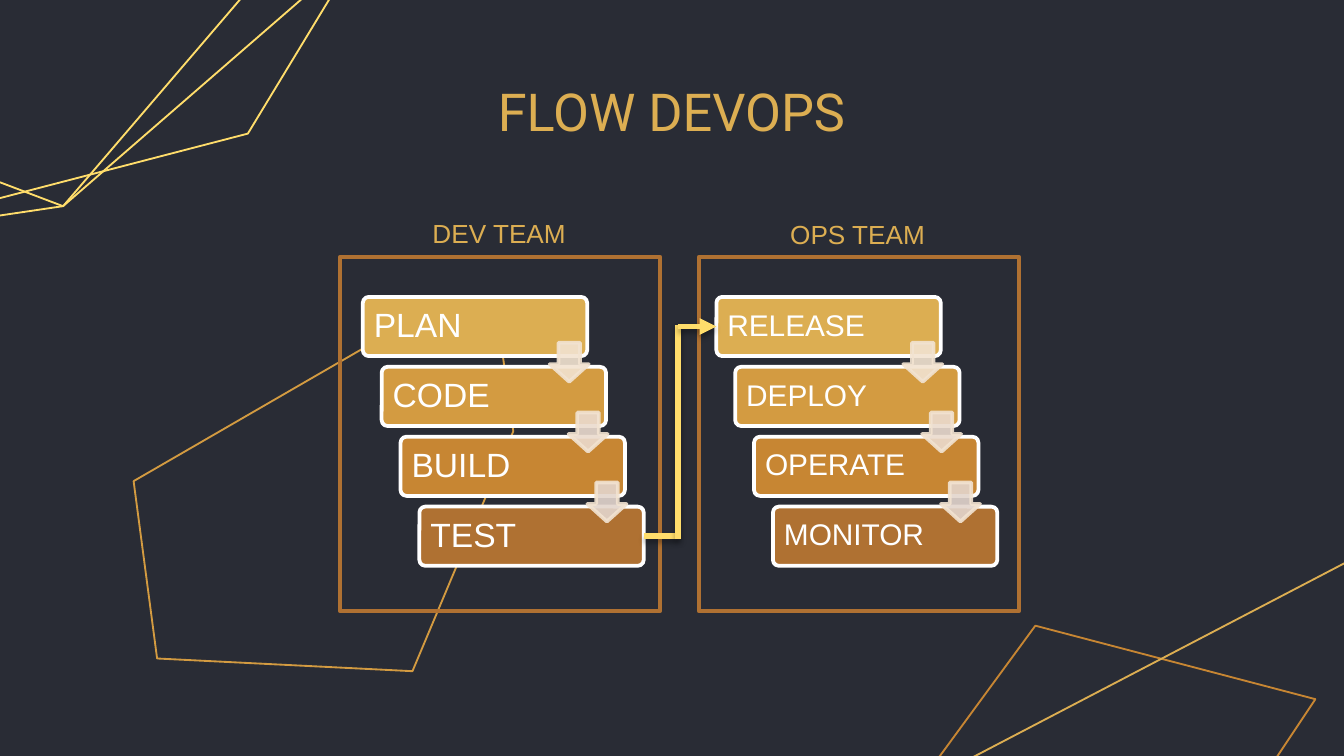
from lxml.etree import SubElement
from pptx import Presentation
from pptx.dml.color import RGBColor
from pptx.enum.shapes import MSO_CONNECTOR, MSO_SHAPE
from pptx.enum.text import MSO_ANCHOR, PP_ALIGN
from pptx.oxml.ns import qn
from pptx.util import Pt

NIGHT = RGBColor(0x29, 0x2C, 0x35)
WHITE = RGBColor(0xFF, 0xFF, 0xFF)
YELLOW = RGBColor(0xFF, 0xDD, 0x6B)
GOLD = RGBColor(0xDC, 0xAE, 0x52)
AMBER = RGBColor(0xD3, 0x9B, 0x41)
OCHRE = RGBColor(0xC7, 0x86, 0x33)
BROWN = RGBColor(0xAF, 0x71, 0x32)
CREAM = RGBColor(0xF2, 0xE3, 0xD1)
SAND = RGBColor(0xEB, 0xDB, 0xCE)
STONE = RGBColor(0xE3, 0xD5, 0xCD)

# Content: team label, label place, frame left, first step left, text size, steps
TITLE = "FLOW DEVOPS"
TEAMS = [
    ("DEV TEAM", (224.6, 113), 182.2, 194.4, 18, ["PLAN", "CODE", "BUILD", "TEST"]),
    ("OPS TEAM", (416.2, 113.4), 374.4, 383.8, 16,
     ["RELEASE", "DEPLOY", "OPERATE", "MONITOR"]),
]
TINTS = [GOLD, AMBER, OCHRE, BROWN]
ARROWS = [CREAM, SAND, STONE]

# Background outlines, corner by corner
OUTLINES = [
    (AMBER, [(84.2, 352.8), (71.6, 257.8), (194.4, 186.8), (268.6, 185),
             (275, 231.1), (221, 359.6)]),
    (OCHRE, [(463, 612.4), (401, 545), (554.7, 335.2), (704.7, 374.6),
             (579.6, 562.3)]),
    (GOLD, [(632.2, 610.9), (481, 426.6), (742.7, 290), (765, 412.6)]),
    (YELLOW, [(-122, 51.5), (-102, -63.4), (67.7, -100.4), (154.4, -74.5),
              (144.4, -18.7), (33.8, 110.5)]),
    (YELLOW, [(-83.2, 127.8), (-122, 51.5), (67.7, -100.4), (193, -27.7),
              (33.8, 110.5)]),
    (YELLOW, [(-83.2, 127.8), (-74.5, -94.7), (193, -27.7), (132.8, 71.6)]),
]

# Step grid
TOP, STEP_X, STEP_Y = 159.1, 10.1, 37.45
WIDE, HIGH = 120.2, 31.7
ARROW_X, ARROW_Y, ARROW = 100.1, 24.5, 20.9
BEND = 363.4

deck = Presentation()
deck.slide_width, deck.slide_height = Pt(720), Pt(405)
slide = deck.slides.add_slide(deck.slide_layouts[6])
slide.background.fill.solid()
slide.background.fill.fore_color.rgb = NIGHT
shapes = slide.shapes


def paint(shape, fill, line, width):
    shape.shadow.inherit = False
    if fill is None:
        shape.fill.background()
    else:
        shape.fill.solid()
        shape.fill.fore_color.rgb = fill
    shape.line.color.rgb = line
    shape.line.width = Pt(width)


def add_box(kind, place, fill, line, adjust=()):
    shape = shapes.add_shape(kind, *map(Pt, place))
    for i, value in enumerate(adjust):
        shape.adjustments[i] = value
    paint(shape, fill, line, 2)
    return shape


def write(shape, text, size, color, font="Arial", align=PP_ALIGN.LEFT, **frame):
    for name, value in frame.items():
        setattr(shape.text_frame, name, value)
    para = shape.text_frame.paragraphs[0]
    para.alignment = align
    run = para.add_run()
    run.text = text
    for name, value in {"name": font, "size": Pt(size)}.items():
        setattr(run.font, name, value)
    run.font.color.rgb = color
    return para


def add_link(start, end):
    link = shapes.add_connector(MSO_CONNECTOR.STRAIGHT, *map(Pt, start + end))
    link.line.color.rgb = YELLOW
    link.line.width = Pt(3)
    props = link._element.spPr
    shade = SubElement(SubElement(props, qn("a:effectLst")), qn("a:outerShdw"),
                       blurRad=str(Pt(3.1)), dist=str(Pt(1.8)), dir="5400000")
    black = SubElement(shade, qn("a:srgbClr"), val="000000")
    SubElement(black, qn("a:alpha"), val="35000")
    return link


# Background outlines
for color, points in OUTLINES:
    first, *rest = [tuple(map(Pt, point)) for point in points]
    pen = shapes.build_freeform(*first)
    pen.add_line_segments(rest, close=True)
    paint(pen.convert_to_shape(), None, color, 1)

# Title
title = shapes.add_textbox(Pt(157), Pt(42.5), Pt(405.4), Pt(33.8))
write(title, TITLE, 28, GOLD, "Roboto", PP_ALIGN.CENTER,
      word_wrap=True, vertical_anchor=MSO_ANCHOR.MIDDLE)

# Team frames, steps and arrows
cards = {}
for label, spot, edge, left, size, steps in TEAMS:
    add_box(MSO_SHAPE.RECTANGLE, (edge, 137.5, 171.4, 190), None, BROWN)
    note = shapes.add_textbox(*map(Pt, spot + (87.5, 24.5)))
    write(note, label, 14, GOLD, word_wrap=False)
    for i, (step, tint) in enumerate(zip(steps, TINTS)):
        place = (left + i * STEP_X, TOP + i * STEP_Y, WIDE, HIGH)
        card = add_box(MSO_SHAPE.ROUNDED_RECTANGLE, place, tint, WHITE, [0.1])
        para = write(card, step, size, WHITE, word_wrap=True,
                     vertical_anchor=MSO_ANCHOR.MIDDLE, margin_left=Pt(5),
                     margin_right=Pt(5), margin_top=Pt(5), margin_bottom=Pt(5))
        para.line_spacing = 0.9
        cards[step] = card
    for i, tint in enumerate(ARROWS):
        place = (left + ARROW_X + i * STEP_X, TOP + ARROW_Y + i * STEP_Y, ARROW, ARROW)
        arrow = add_box(MSO_SHAPE.DOWN_ARROW, place, tint, CREAM, [0.45, 0.55])
        arrow.adjustments[0], arrow.adjustments[1] = 0.55, 0.45
        for color in arrow._element.spPr.iter(qn("a:srgbClr")):
            SubElement(color, qn("a:alpha"), val="90000")

# Link from the last dev step to the first ops step
low = TOP + 3 * STEP_Y + HIGH / 2
high = TOP + HIGH / 2
leave = add_link((345, low), (BEND, low))
leave.begin_connect(cards["TEST"], 3)
add_link((BEND, low + 1.5), (BEND, high - 1))
enter = add_link((BEND, high), (383.8, high))
enter.end_connect(cards["RELEASE"], 1)
SubElement(enter.line._get_or_add_ln(), qn("a:tailEnd"), type="triangle")

deck.save("out.pptx")
